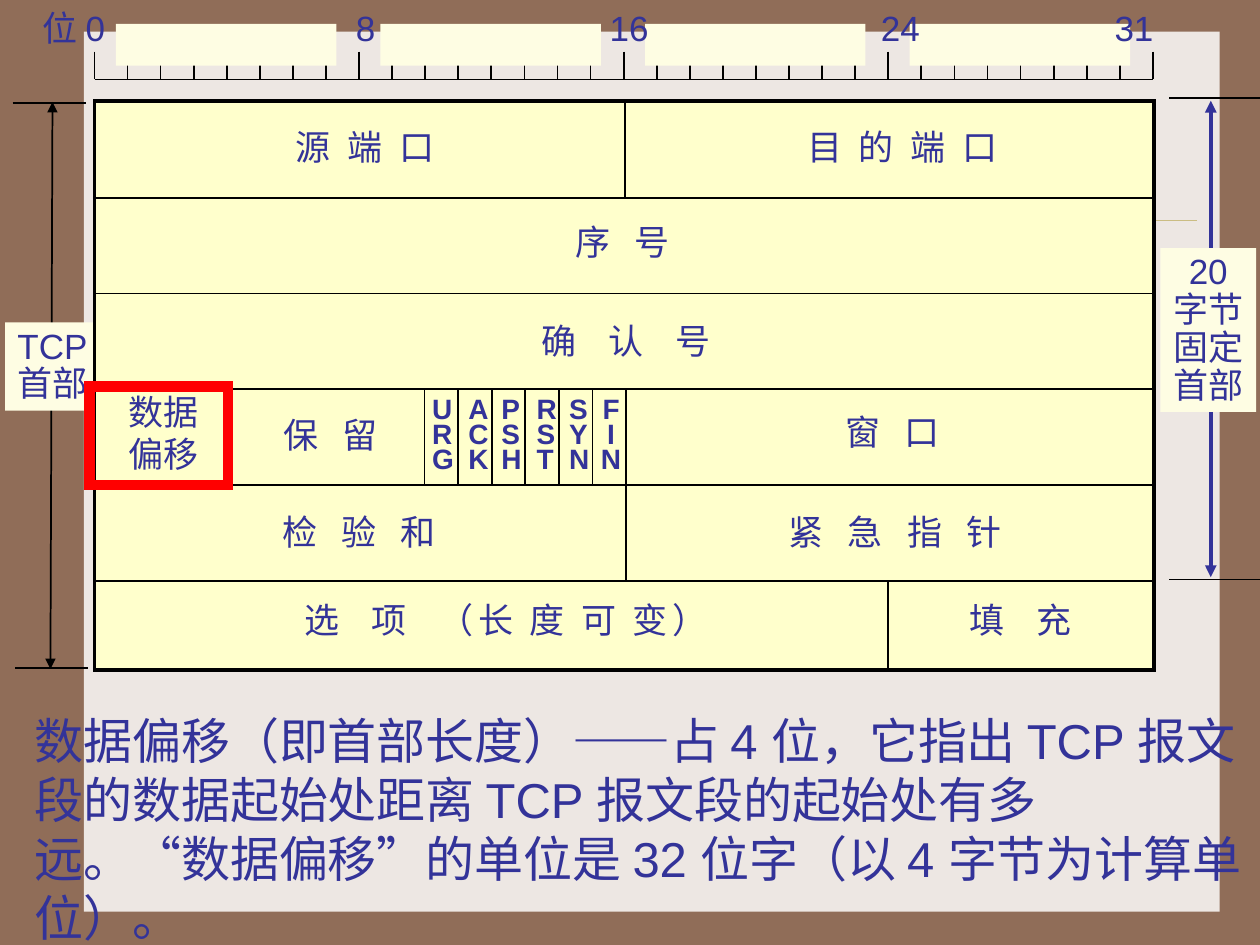
from lxml.etree import SubElement
from pptx import Presentation
from pptx.dml.color import RGBColor
from pptx.enum.shapes import MSO_CONNECTOR, MSO_SHAPE
from pptx.enum.text import MSO_AUTO_SIZE, PP_ALIGN
from pptx.oxml.ns import qn
from pptx.util import Pt

COLORS = {
    "background": "906D58",
    "panel": "EDE7E3",
    "rule": "CBBD83",
    "label": "FEFDE3",
    "header": "FFFFCC",
    "text": "333399",
    "line": "000000",
    "highlight": "FF0000",
}

presentation = Presentation()
presentation.slide_width = Pt(720)
presentation.slide_height = Pt(540)
slide = presentation.slides.add_slide(presentation.slide_layouts[6])
slide.background.fill.solid()
slide.background.fill.fore_color.rgb = RGBColor.from_string(COLORS["background"])


def add_line(x1, y1, x2, y2, color="line", width=1, arrows=False):
    connector = slide.shapes.add_connector(
        MSO_CONNECTOR.STRAIGHT, Pt(x1), Pt(y1), Pt(x2), Pt(y2))
    connector.line.color.rgb = RGBColor.from_string(COLORS[color])
    connector.line.width = Pt(width)
    properties = connector._element.spPr
    SubElement(properties, qn("a:effectLst"))
    if arrows:
        outline = properties.find(qn("a:ln"))
        for end in ("a:headEnd", "a:tailEnd"):
            SubElement(outline, qn(end), type="triangle")


def add_box(left, top, width, height, fill=None, outline=None, weight=1, lines=(),
            size=20, bold=False, align=PP_ALIGN.LEFT, spacing=None, wrap=False, tabs=()):
    if fill or outline:
        shape = slide.shapes.add_shape(
            MSO_SHAPE.RECTANGLE, Pt(left), Pt(top), Pt(width), Pt(height))
        shape.shadow.inherit = False
        if fill:
            shape.fill.solid()
            shape.fill.fore_color.rgb = RGBColor.from_string(COLORS[fill])
        else:
            shape.fill.background()
        if outline:
            shape.line.color.rgb = RGBColor.from_string(COLORS[outline])
            shape.line.width = Pt(weight)
            SubElement(shape._element.spPr.find(qn("a:ln")), qn("a:miter"), lim="800000")
        else:
            shape.line.fill.background()
    else:
        shape = slide.shapes.add_textbox(Pt(left), Pt(top), Pt(width), Pt(height))
    if not lines:
        return
    frame = shape.text_frame
    frame.word_wrap = wrap
    frame.auto_size = MSO_AUTO_SIZE.SHAPE_TO_FIT_TEXT
    for index, runs in enumerate(lines):
        paragraph = frame.add_paragraph() if index else frame.paragraphs[0]
        paragraph.alignment = align
        if spacing:
            paragraph.line_spacing = spacing
        if tabs:
            tab_list = SubElement(paragraph._p.get_or_add_pPr(), qn("a:tabLst"))
            for position in tabs:
                SubElement(tab_list, qn("a:tab"), pos=str(Pt(position)), algn="l")
        paragraph.font.name = "Arial"
        paragraph.font.size = Pt(size)
        paragraph.font.bold = bold
        paragraph.font.color.rgb = RGBColor.from_string(COLORS["text"])
        for content, tracking in [(runs, 0)] if isinstance(runs, str) else runs:
            if content == "\v":
                paragraph.add_line_break()
                continue
            run = paragraph.add_run()
            run.text = content
            if tracking:
                run._r.get_or_add_rPr().set("spc", str(tracking))


add_box(48, 18, 649, 503, fill="panel")
add_line(80, 126, 684, 126, color="rule", width=0.25)

add_line(30, 58.3, 28.8, 382.3, arrows=True)
add_box(2.9, 184.3, 54.7, 50.4, fill="label", lines=["TCP", "首部"], spacing=0.9)
add_line(691.9, 57.6, 691.9, 329.8, color="text", width=2.25, arrows=True)
add_box(663.1, 141.8, 54.7, 93.6, fill="label", lines=["20", "字节", "固定", "首部"],
        align=PP_ALIGN.CENTER, spacing=0.9)

header_left, header_right = 54, 659.5
header_top, header_bottom = 57.6, 383
row_lines = [113 + 54.75 * row for row in range(5)]
add_box(header_left, header_top, header_right - header_left, header_bottom - header_top,
        fill="header", outline="line", weight=2)
for y in row_lines:
    add_line(header_left, y, header_right, y)

flags_left, flag_width = 242.6, 19.2
flags_right = flags_left + 6 * flag_width
add_line(357.1, header_top, 357.1, row_lines[0])
add_line(129.6, row_lines[2], 129.6, row_lines[3])
for flag in range(6):
    x = flags_left + flag * flag_width
    add_line(x, row_lines[2], x, row_lines[3])
add_line(flags_right, row_lines[2], flags_right, row_lines[4])
add_line(507.4, row_lines[4], 507.4, header_bottom)

TWO_SPACES, THREE_SPACES, FOUR_SPACES = 250, 470, 690
fields = [
    (162, 68.4, 115, [("源 端 口", TWO_SPACES)]),
    (454.3, 68.4, 150, [("目 的 端 口", TWO_SPACES)]),
    (321.8, 122.4, 110, [("序 号", THREE_SPACES)]),
    (302.4, 179.3, 145, [("确 认 号", FOUR_SPACES)]),
    (154.8, 232.6, 85, [("保 留", THREE_SPACES)]),
    (475.9, 231.1, 85, [("窗 口", THREE_SPACES)]),
    (154.1, 288, 125, [("检 验 和", THREE_SPACES)]),
    (443.5, 288, 165, [("紧 急 指 针", THREE_SPACES)]),
    (167, 338.4, 300, [("选 项 ", FOUR_SPACES), ("（长 度 可 变）", TWO_SPACES)]),
    (547.2, 338.4, 100, [("填 充", FOUR_SPACES)]),
]
for left, top, width, runs in fields:
    add_box(left, top, width, 31, lines=[runs], wrap=True)
add_box(66.2, 219.6, 54.7, 54.7, lines=["数据", "偏移"])

flag_lefts = {"URG": 239.8, "ACK": 260.6, "PSH": 279.4, "RST": 299.5, "SYN": 318.2, "FIN": 336.2}
for name, left in flag_lefts.items():
    add_box(left, 224.6, 26, 50.4, lines=list(name), size=16, bold=True, spacing=0.75,
            align=PP_ALIGN.CENTER if name == "FIN" else PP_ALIGN.LEFT)

bit_width = 18.9
ruler_y = 45.4
add_line(header_left, ruler_y, header_left + 32 * bit_width, ruler_y)
for bit in range(33):
    x = header_left + bit * bit_width
    add_line(x, 21.6 if bit % 8 else 29.5, x, ruler_y)
for byte in range(4):
    add_box(66.2 + byte * 8 * bit_width, 13.7, 126, 23.8, fill="label")
add_box(17.3, 0, 651, 31, lines=["位 0\t8\t16\t24\t31"], wrap=True, tabs=[179, 324, 479, 612.5])

for left, right, y in [(668.2, 720, 56.2), (668.2, 720, 331.2), (7.2, 49, 59), (8.6, 50.4, 381.6)]:
    add_line(left, y, right, y)

add_box(12.6, 402.5, 707.4, 141.8, size=28, wrap=True, lines=[[
    ("数据偏移（即首部长度）——占 4 位，它指出 TCP 报文段的数据起始处距离 TCP 报文段的起始处有多", 0),
    ("\v", 0),
    ("远。“数据偏移”的单位是 32 位字（以 4 字节为计算单位）。", 0),
]])
add_box(51.1, 221, 79.2, 56.2, outline="highlight", weight=6)

presentation.save("out.pptx")
